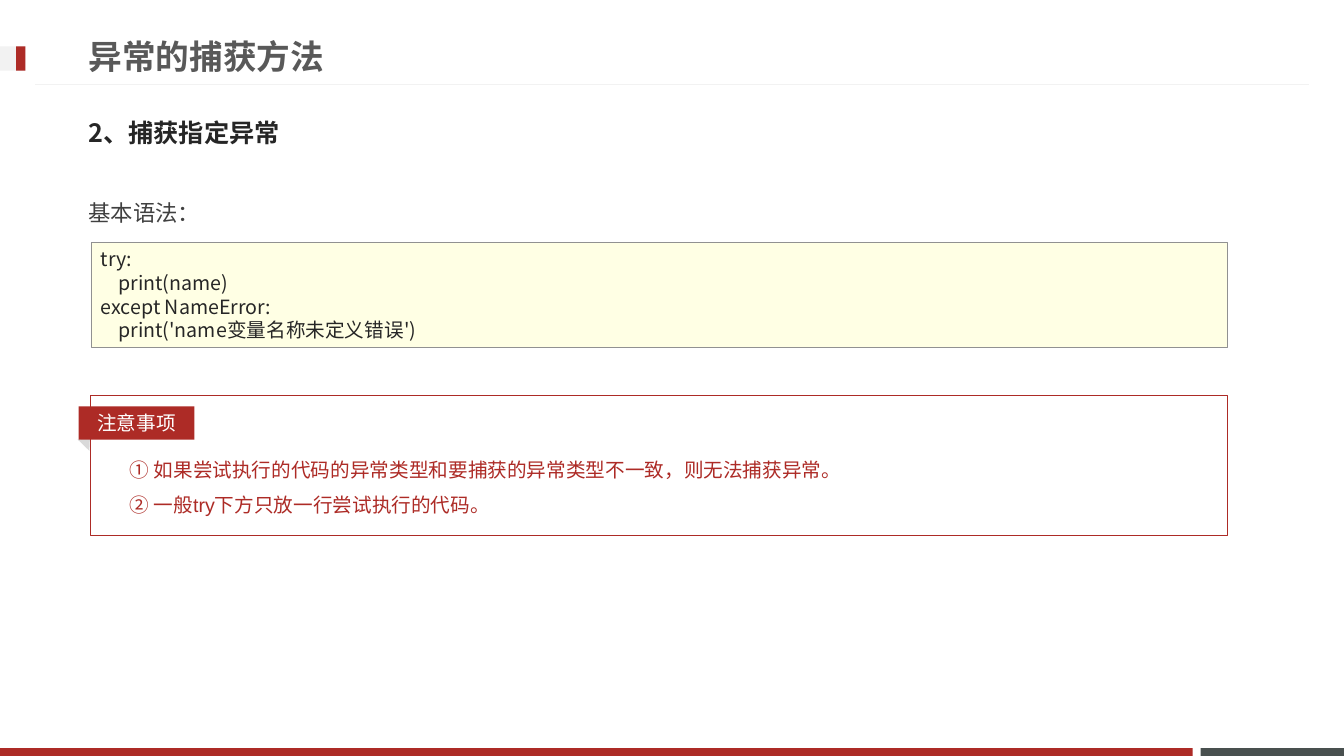
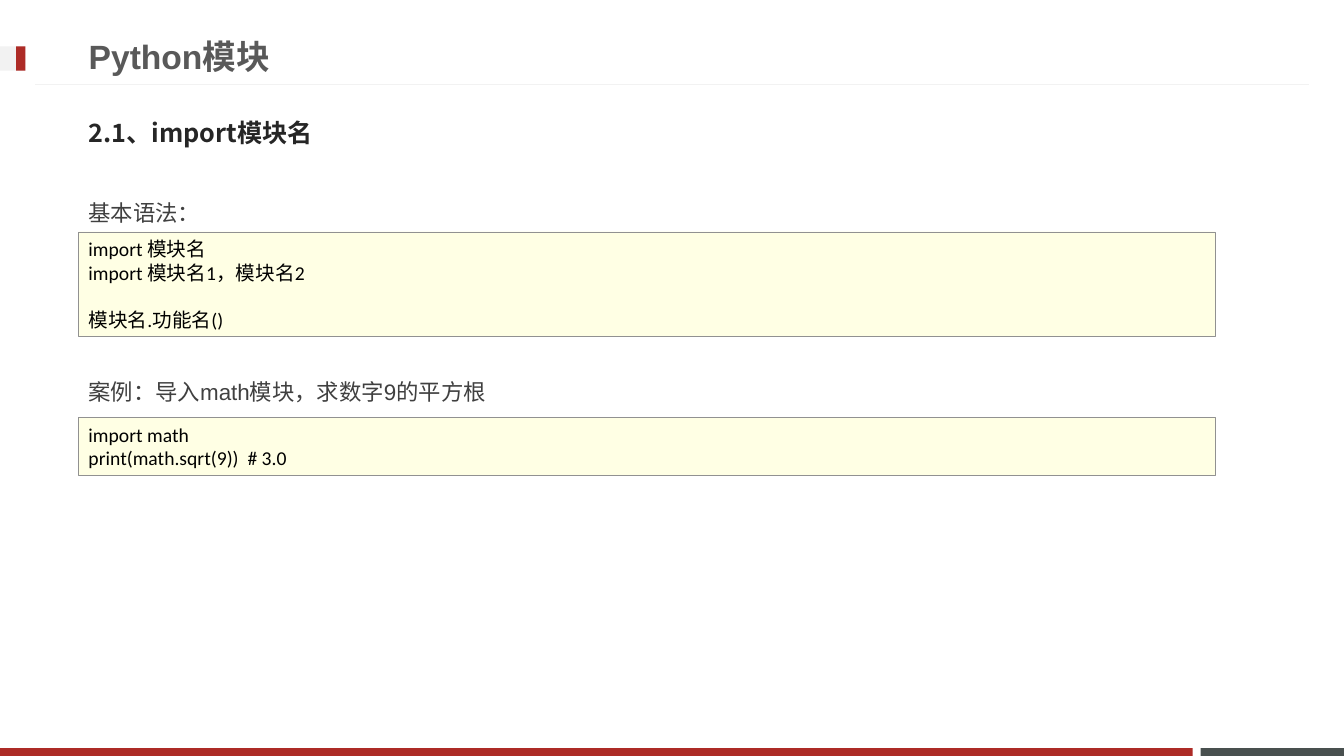
from collections import namedtuple

from pptx import Presentation
from pptx.dml.color import RGBColor
from pptx.enum.lang import MSO_LANGUAGE_ID
from pptx.enum.shapes import MSO_CONNECTOR, MSO_SHAPE
from pptx.enum.text import MSO_ANCHOR, MSO_AUTO_SIZE, PP_ALIGN
from pptx.oxml.ns import qn
from pptx.util import Cm, Pt
from lxml import etree

RECTANGLE = MSO_SHAPE.RECTANGLE
TRIANGLE = MSO_SHAPE.ISOSCELES_TRIANGLE
STRAIGHT = MSO_CONNECTOR.STRAIGHT
TOP, MIDDLE = MSO_ANCHOR.TOP, MSO_ANCHOR.MIDDLE
LEFT, CENTER = PP_ALIGN.LEFT, PP_ALIGN.CENTER
NO_AUTOFIT = MSO_AUTO_SIZE.NONE
CHINESE = MSO_LANGUAGE_ID.SIMPLIFIED_CHINESE

RED, SLATE, PALE, FOLD = "AD2B26", "49504F", "F2F2F2", "D9D9D9"
CODE_FILL, CODE_LINE = "FFFFE4", "919191"
CJK_FONT = "Noto Sans CJK JP"
CODE_LEADING = Pt(16.9)

Box = namedtuple("Box", "left top width height")
Line = namedtuple("Line", "text indent gap", defaults=(0, 0))

SLIDE_WIDTH, SLIDE_HEIGHT = 33.86, 19.05
MARGIN = 1.98
TITLE_BOX = Box(MARGIN, 0.69, 24.36, 1.45)
HEADING_BOX = Box(MARGIN, 2.62, 29.87, 1.45)
PANEL_WIDTH = 28.63

TITLE = {"size": Pt(24), "name": "Arial", "bold": True, "color": "595959"}
HEADING = {"size": Pt(18), "name": CJK_FONT, "bold": True, "color": "262626"}
LABEL = {"size": Pt(16), "name": "Arial", "color": "404040"}
NOTE = {"size": Pt(14), "name": "Arial", "color": RED}
TAG = {**NOTE, "color": "FFFFFF"}
CODE = {"size": Pt(14), "name": CJK_FONT, "color": "262626"}
CALIBRI_CODE = {**CODE, "name": "Calibri", "color": "000000"}


def rgb(value):
    return RGBColor.from_string(value)


def lengths(box):
    return [Cm(value) for value in box]


def format_run(run, style):
    for name, value in {**style, "language_id": CHINESE}.items():
        if name == "color":
            run.font.color.rgb = rgb(value)
        else:
            setattr(run.font, name, value)
    properties = run.font._element
    east_asian = etree.SubElement(properties, qn("a:ea"))
    east_asian.set("typeface", CJK_FONT)
    properties.find(qn("a:latin")).addnext(east_asian)


def write(shape, lines, style, anchor=TOP, **paragraph_format):
    frame = shape.text_frame
    frame.word_wrap = True
    frame.auto_size = NO_AUTOFIT
    frame.vertical_anchor = anchor
    for index, line in enumerate(lines):
        paragraph = frame.add_paragraph() if index else frame.paragraphs[0]
        values = {"alignment": LEFT, "space_before": line.gap, **paragraph_format}
        for name, value in values.items():
            setattr(paragraph, name, value)
        if line.indent:
            paragraph._p.get_or_add_pPr().set("marL", str(Cm(line.indent)))
        run = paragraph.add_run()
        run.text = line.text
        format_run(run, style)


def add_panel(slide, box, fill=None, line=None, weight=0.75, preset=RECTANGLE):
    shape = slide.shapes.add_shape(preset, *lengths(box))
    shape.shadow.inherit = False
    if fill:
        shape.fill.solid()
        shape.fill.fore_color.rgb = rgb(fill)
    else:
        shape.fill.background()
    if line:
        shape.line.color.rgb = rgb(line)
        shape.line.width = Pt(weight)
    else:
        shape.line.fill.background()
    return shape


def add_text(slide, box, lines, style, **options):
    shape = slide.shapes.add_textbox(*lengths(box))
    write(shape, lines, style, **options)


def add_rule(slide, left, right, top):
    rule = slide.shapes.add_connector(STRAIGHT, Cm(left), Cm(top), Cm(right), Cm(top))
    rule.line.color.rgb = rgb(PALE)
    rule.line.width = Pt(0.75)
    etree.SubElement(rule._element.spPr, qn("a:effectLst"))
    return rule


def decorate_layout(layout, slide):
    for placeholder in list(layout.placeholders)[1:]:
        layout.shapes.element.remove(placeholder.element)
    bar_height, bar_width, gap = 0.2, 30.05, 0.2
    bar_top = SLIDE_HEIGHT - bar_height
    block_left = bar_width + gap
    decorations = [
        add_panel(slide, Box(block_left, bar_top, SLIDE_WIDTH - block_left, bar_height), SLATE),
        add_panel(slide, Box(0, bar_top, bar_width, bar_height), RED),
        add_rule(slide, 0.89, 32.97, 2.13),
        add_panel(slide, Box(0, 1.17, 0.64, 0.61), PALE),
        add_panel(slide, Box(0.41, 1.17, 0.23, 0.61), RED),
    ]
    for shape in decorations:
        layout.shapes.element.append(shape.element)


def add_headings(slide, title, heading):
    placeholder = slide.shapes.title
    for name, value in TITLE_BOX._asdict().items():
        setattr(placeholder, name, Cm(value))
    write(placeholder, [Line(title)], TITLE, anchor=MIDDLE)
    add_text(slide, HEADING_BOX, [Line(heading)], HEADING, anchor=MIDDLE)


def add_label(slide, top, text):
    box = Box(MARGIN, top, 29.87, 1.3)
    add_text(slide, box, [Line(text, gap=Pt(3.2))], LABEL, line_spacing=Pt(28.6))


def add_code(slide, box, lines, style):
    panel = add_panel(slide, box, CODE_FILL, CODE_LINE, 0.25)
    write(panel, lines, style, line_spacing=CODE_LEADING)


def add_notice(slide, box, caption, notes):
    tag_box = Box(box.left - 0.31, box.top + 0.28, 2.92, 0.84)
    fold_box = Box(tag_box.left, tag_box.top + tag_box.height - 0.06, 0.41, 0.23)
    fold = add_panel(slide, fold_box, FOLD, preset=TRIANGLE)
    fold.rotation = 44.2
    notes_box = Box(box.left + 0.73, box.top + 1.17, 27.15, 1.96)
    add_text(slide, notes_box, notes, NOTE, line_spacing=Pt(25))
    add_panel(slide, box, line=RED)
    tag = add_panel(slide, tag_box, RED)
    write(tag, [Line(caption)], TAG, anchor=MIDDLE, alignment=CENTER)


def build_exception_slide(slide):
    add_headings(slide, "异常的捕获方法", "2、捕获指定异常")
    add_label(slide, 4.57, "基本语法：")
    add_code(slide, Box(2.29, 6.1, PANEL_WIDTH, 2.64), [
        Line("try:"),
        Line("print(name)", indent=0.44),
        Line("except NameError:"),
        Line("print('name变量名称未定义错误')", indent=0.44),
    ], CODE)
    add_notice(slide, Box(2.29, 9.96, PANEL_WIDTH, 3.53), "注意事项", [
        Line("① 如果尝试执行的代码的异常类型和要捕获的异常类型不一致，则无法捕获异常。"),
        Line("② 一般try下方只放一行尝试执行的代码。"),
    ])


def build_import_slide(slide):
    add_headings(slide, "Python模块", "2.1、import模块名")
    add_label(slide, 4.55, "基本语法：")
    add_code(slide, Box(MARGIN, 5.84, PANEL_WIDTH, 2.64), [
        Line("import 模块名"),
        Line("import 模块名1，模块名2"),
        Line("模块名.功能名()", gap=CODE_LEADING),
    ], CALIBRI_CODE)
    add_label(slide, 9.06, "案例：导入math模块，求数字9的平方根")
    add_code(slide, Box(MARGIN, 10.52, PANEL_WIDTH, 1.45), [
        Line("import math"),
        Line("print(math.sqrt(9))  # 3.0"),
    ], CALIBRI_CODE)


def main():
    presentation = Presentation()
    presentation.slide_width = Cm(SLIDE_WIDTH)
    presentation.slide_height = Cm(SLIDE_HEIGHT)
    layout = presentation.slide_layouts[5]
    slides = [presentation.slides.add_slide(layout) for _ in range(2)]
    decorate_layout(layout, slides[0])
    for build, slide in zip((build_exception_slide, build_import_slide), slides):
        build(slide)
    presentation.save("out.pptx")


if __name__ == "__main__":
    main()
